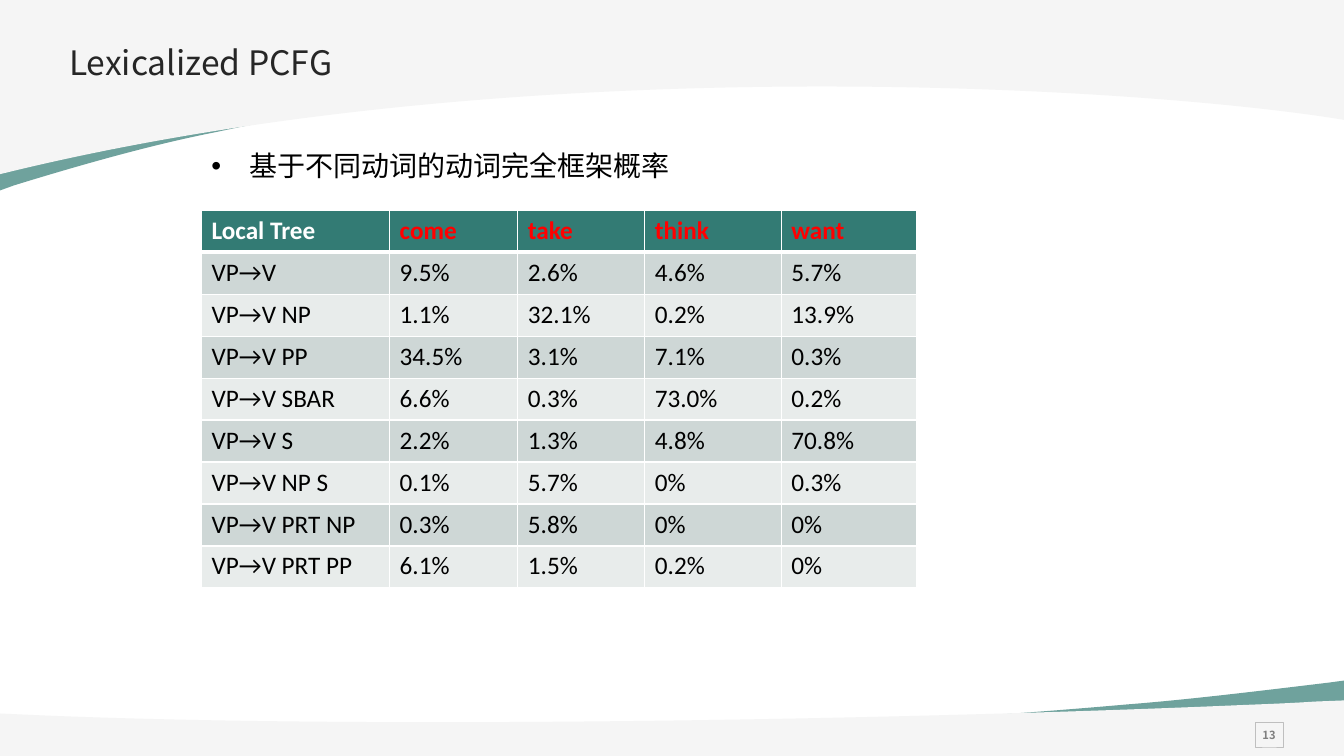
from lxml import etree
from pptx import Presentation
from pptx.dml.color import RGBColor
from pptx.enum.shapes import MSO_SHAPE
from pptx.enum.text import MSO_ANCHOR, MSO_AUTO_SIZE, PP_ALIGN
from pptx.oxml import parse_xml
from pptx.oxml.ns import nsdecls, qn
from pptx.util import Cm, Pt

RECTANGLE = MSO_SHAPE.RECTANGLE
MIDDLE = MSO_ANCHOR.MIDDLE
CENTER = PP_ALIGN.CENTER
GROW = MSO_AUTO_SIZE.SHAPE_TO_FIT_TEXT

THEME = {
    "teal": "337B74", "band": "F5F5F5", "white": "FFFFFF", "black": "000000",
    "title": "262626", "verb": "FF0000", "number": "808080", "frame": "BFBFBF",
    "rows": ("CED7D6", "E8ECEB"),
    "sans": "Noto Sans CJK SC", "table": "Calibri",
    "title_size": 24, "bullet_size": 20, "table_size": 18, "number_size": 8,
}
WIDTH, HEIGHT = 33.87, 19.05

BANDS = [
    ("teal", 70, [(0, 4.8), (0, 0.56), (WIDTH, 0.56), (WIDTH, 2.31),
                  (26.21, 0.15, 13.06, 1.7, 5.44, 3.33),
                  (3.91, 3.63, 2.18, 4.11, 0.36, 4.67)]),
    ("band", 100, [(0, 0), (WIDTH, 0), (WIDTH, 3.02),
                   (28.96, 2.21, 13.13, 1.14, 0, 4.39)]),
    ("teal", 70, [(WIDTH, 17.15), (WIDTH, 18.9), (0, 18.9), (0, 18.16), (0.03, 18.19),
                  (7.65, 19.05, 20.83, 18.42, 28.42, 17.75),
                  (29.95, 17.63, 31.67, 17.42, 33.5, 17.2)]),
    ("band", 100, [(WIDTH, 17.65), (WIDTH, HEIGHT), (0, HEIGHT), (0, 17.98), (1.12, 18.03),
                   (9.96, 18.39, 23.11, 18.11, 30.99, 17.78),
                   (31.65, 17.75, 32.39, 17.73, 33.12, 17.68)]),
]
TABLE_ROWS = [
    ("Local Tree", "come", "take", "think", "want"),
    ("VP→V", "9.5%", "2.6%", "4.6%", "5.7%"),
    ("VP→V NP", "1.1%", "32.1%", "0.2%", "13.9%"),
    ("VP→V PP", "34.5%", "3.1%", "7.1%", "0.3%"),
    ("VP→V SBAR", "6.6%", "0.3%", "73.0%", "0.2%"),
    ("VP→V S", "2.2%", "1.3%", "4.8%", "70.8%"),
    ("VP→V NP S", "0.1%", "5.7%", "0%", "0.3%"),
    ("VP→V PRT NP", "0.3%", "5.8%", "0%", "0%"),
    ("VP→V PRT PP", "6.1%", "1.5%", "0.2%", "0%"),
]
COLUMN_WIDTHS = (4.74, 3.23, 3.2, 3.44, 3.4)
TABLE_HEIGHT = 9.52


def draw_band(segments):
    start, *rest = [(Cm(segment[-2]), Cm(segment[-1])) for segment in segments]
    builder = slide.shapes.build_freeform(*start)
    builder.add_line_segments(rest, close=True)
    band = builder.convert_to_shape()
    lines = list(band._element.iter(qn("a:lnTo")))
    for line, segment in zip(lines, segments[1:]):
        if len(segment) == 6:
            line.tag = qn("a:cubicBezTo")
            for index, (x, y) in enumerate([segment[:2], segment[2:4]]):
                point = etree.Element(qn("a:pt"), x=str(Cm(x) - band.left), y=str(Cm(y) - band.top))
                line.insert(index, point)
    return band


def write(paragraph, text, size, color, font="sans", bold=False):
    paragraph.text = text
    paragraph.font.size = Pt(THEME[size])
    paragraph.font.bold = bold
    paragraph.font.color.rgb = RGBColor.from_string(THEME[color])
    paragraph.font.name = THEME[font]
    properties = paragraph._p.pPr.find(qn("a:defRPr"))
    etree.SubElement(properties, qn("a:ea"), typeface=THEME[font])


presentation = Presentation()
presentation.slide_width, presentation.slide_height = Cm(WIDTH), Cm(HEIGHT)
slide = presentation.slides.add_slide(presentation.slide_layouts[6])

for color, opacity, segments in BANDS:
    band = draw_band(segments)
    band.shadow.inherit = False
    band.line.fill.background()
    band.fill.solid()
    band.fill.fore_color.rgb = RGBColor.from_string(THEME[color])
    if opacity < 100:
        fill_color = band._element.spPr.find(qn("a:solidFill"))[0]
        etree.SubElement(fill_color, qn("a:alpha"), val=str(opacity * 1000))

number_box = slide.shapes.add_shape(RECTANGLE, Cm(31.63), Cm(18.21), Cm(0.71), Cm(0.64))
number_box.shadow.inherit = False
number_box.fill.background()
number_box.line.color.rgb = RGBColor.from_string(THEME["frame"])
number_box.line.width = Pt(0.75)
number_frame = number_box.text_frame
number_frame.word_wrap = False
number_frame.vertical_anchor = MIDDLE
number_frame.margin_left = number_frame.margin_right = Cm(0.2)
number_frame.margin_top = number_frame.margin_bottom = Cm(0.2)
number_frame.paragraphs[0].alignment = CENTER
write(number_frame.paragraphs[0], "13", "number_size", "number", bold=True)

title_box = slide.shapes.add_textbox(Cm(1.35), Cm(0.97), Cm(30.48), Cm(1.47))
title_frame = title_box.text_frame
title_frame.word_wrap = False
title_frame.margin_left, title_frame.margin_right = Cm(0.39), Cm(0)
title_frame.margin_top = title_frame.margin_bottom = Cm(0.2)
title_frame.paragraphs[0].line_spacing = 0.9
write(title_frame.paragraphs[0], "Lexicalized PCFG", "title_size", "title")

bullet_box = slide.shapes.add_textbox(Cm(5.08), Cm(3.63), Cm(14.2), Cm(1.12))
bullet_frame = bullet_box.text_frame
bullet_frame.word_wrap = True
bullet_frame.auto_size = GROW
bullet_paragraph = bullet_frame.paragraphs[0]
bullet_properties = bullet_paragraph._p.get_or_add_pPr()
bullet_properties.set("marL", str(Cm(0.95)))
bullet_properties.set("indent", str(-Cm(0.95)))
etree.SubElement(bullet_properties, qn("a:buFont"), typeface="Arial")
etree.SubElement(bullet_properties, qn("a:buChar"), char="•")
write(bullet_paragraph, "基于不同动词的动词完全框架概率", "bullet_size", "black")

table = slide.shapes.add_table(
    len(TABLE_ROWS), len(COLUMN_WIDTHS), Cm(5.08), Cm(5.3),
    Cm(sum(COLUMN_WIDTHS)), Cm(TABLE_HEIGHT)).table
for column, width in zip(table.columns, COLUMN_WIDTHS):
    column.width = Cm(width)

for row_index, values in enumerate(TABLE_ROWS):
    table.rows[row_index].height = Cm(TABLE_HEIGHT / len(TABLE_ROWS))
    header = row_index == 0
    fill = THEME["teal"] if header else THEME["rows"][(row_index - 1) % 2]
    border_widths = {"lnL": 1, "lnR": 1, "lnT": 3 if row_index == 1 else 1, "lnB": 3 if header else 1}
    for column_index, value in enumerate(values):
        cell = table.cell(row_index, column_index)
        color = "black" if not header else "verb" if column_index else "white"
        write(cell.text_frame.paragraphs[0], value, "table_size", color, "table", header)
        cell_properties = cell._tc.get_or_add_tcPr()
        for side, points in border_widths.items():
            cell_properties.append(parse_xml(
                f'<a:{side} {nsdecls("a")} w="{Pt(points)}"><a:solidFill>'
                f'<a:srgbClr val="{THEME["white"]}"/></a:solidFill></a:{side}>'))
        cell.fill.solid()
        cell.fill.fore_color.rgb = RGBColor.from_string(fill)

presentation.save("out.pptx")
